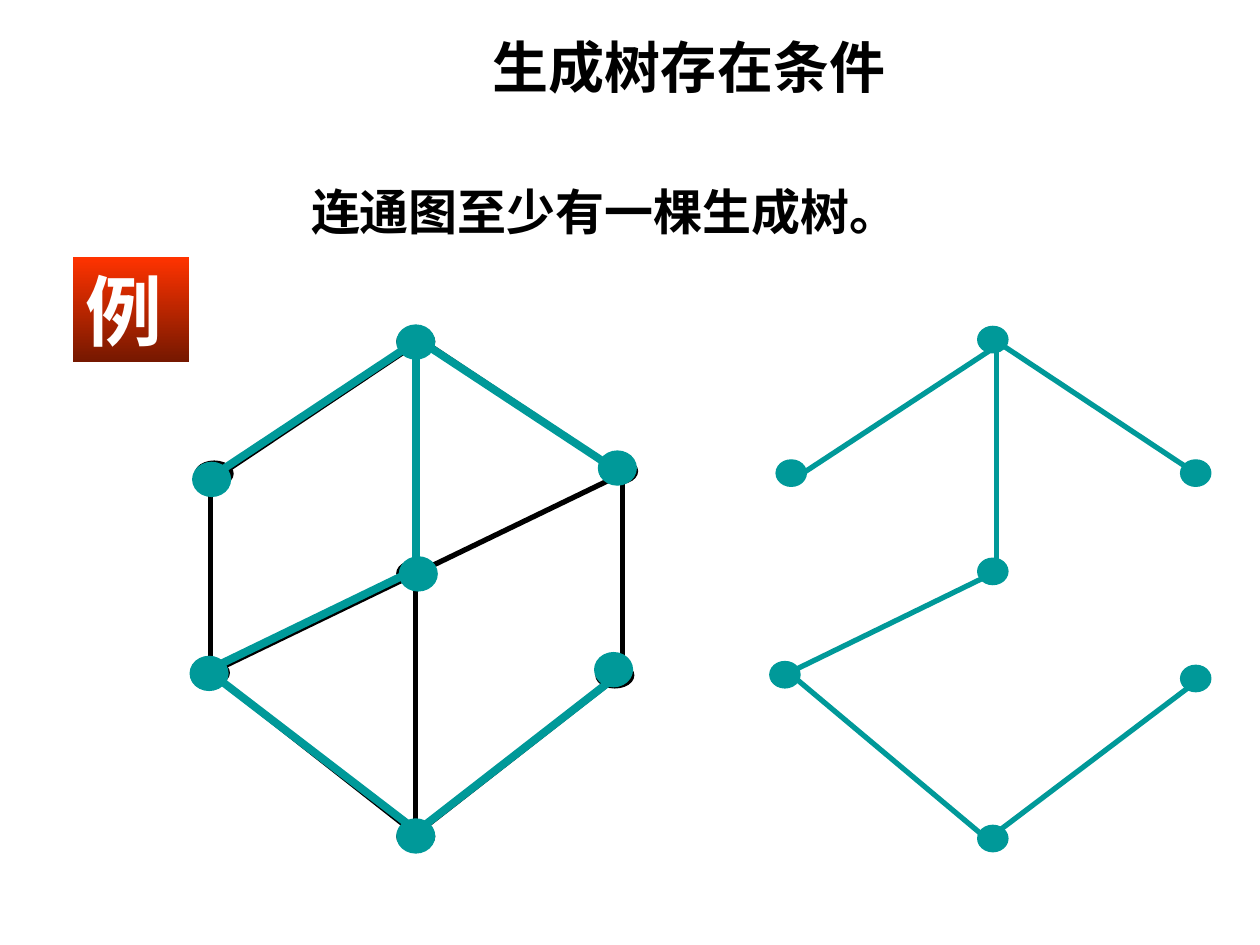
from pptx import Presentation
from pptx.dml.color import RGBColor
from pptx.enum.shapes import MSO_CONNECTOR, MSO_SHAPE
from pptx.enum.text import MSO_ANCHOR, PP_ALIGN
from pptx.oxml.ns import qn
from pptx.util import Pt
from lxml import etree

PX = 9144  # 100 px to the inch
LEFT, CENTER = PP_ALIGN.LEFT, PP_ALIGN.CENTER
TOP = MSO_ANCHOR.TOP
STRAIGHT = MSO_CONNECTOR.STRAIGHT
OVAL, RECTANGLE = MSO_SHAPE.OVAL, MSO_SHAPE.RECTANGLE

COLORS = {
    "black": "000000",
    "white": "FFFFFF",
    "teal": "009999",
    "badge_top": "FF3300",
    "badge_bottom": "761800",
}

# Nodes are (left, top); edges are (x1, y1, x2, y2)
GRAPH_EDGES = [
    (330, 277, 330, 672), (330, 273, 167, 382), (167, 376, 167, 534),
    (167, 534, 330, 662), (330, 267, 494, 376), (494, 376, 494, 534),
    (494, 534, 330, 662), (494, 376, 167, 534),
]
GRAPH_NODES = [(315, 445), (315, 261), (155, 366), (476, 364),
               (152, 524), (473, 526), (315, 654)]
MARKED_NODES = [(151, 521), (153, 367), (315, 258), (317, 442),
                (315, 650), (472, 518), (475, 358)]
MARKED_EDGES = [
    (327, 273, 167, 379), (328, 267, 489, 373), (334, 450, 173, 528),
    (175, 540, 342, 668), (328, 662, 494, 533), (330, 269, 330, 460),
]
TREE_NODES = [(611, 525), (616, 365), (776, 259), (776, 443),
              (776, 655), (937, 528), (937, 365)]
TREE_EDGES = [
    (792, 274, 632, 379), (791, 267, 791, 458), (788, 269, 948, 375),
    (784, 457, 624, 535), (625, 533, 786, 668), (788, 663, 956, 536),
]


def rgb(name):
    return RGBColor.from_string(COLORS[name])


def emu(*lengths):
    return [length * PX for length in lengths]


def write(box, text, font, size, color="black", align=LEFT):
    frame = box.text_frame
    frame.word_wrap = True
    frame.vertical_anchor = TOP
    para = frame.paragraphs[0]
    para.alignment = align
    span = para.add_run()
    span.text = text
    formats = {"name": font, "size": Pt(size), "bold": True}
    for key, value in formats.items():
        setattr(span.font, key, value)
    span.font.color.rgb = rgb(color)
    return para


def add_text(page, place, text, font, size, align=LEFT):
    return write(page.shapes.add_textbox(*emu(*place)), text, font, size, align=align)


def add_badge(page, place, text):
    badge = page.shapes.add_shape(RECTANGLE, *emu(*place))
    badge.shadow.inherit = False
    badge.line.fill.background()
    badge.fill.gradient()
    badge.fill.gradient_angle = 270
    for stop, position, name in zip(badge.fill.gradient_stops, (0, 1),
                                    ("badge_top", "badge_bottom")):
        stop.position = position
        stop.color.rgb = rgb(name)
    write(badge, text, "Times New Roman", 44, "white")


def add_node(shapes, left, top, size, color):
    node = shapes.add_shape(OVAL, *emu(left, top, *size))
    node.shadow.inherit = False
    node.fill.solid()
    node.fill.fore_color.rgb = rgb(color)
    node.line.color.rgb = rgb(color)
    node.line.width = Pt(0.75)


def add_edge(shapes, ends, color, width):
    edge = shapes.add_connector(STRAIGHT, *emu(*ends))
    edge.line.color.rgb = rgb(color)
    edge.line.width = Pt(width)
    etree.SubElement(edge._element.spPr, qn("a:effectLst"))


def add_graph(shapes, nodes, edges, node_size, color, width):
    for ends in edges:
        add_edge(shapes, ends, color, width)
    for left, top in nodes:
        add_node(shapes, left, top, node_size, color)


def main():
    deck = Presentation()
    deck.slide_width, deck.slide_height = emu(1000, 750)
    page = deck.slides.add_slide(deck.slide_layouts[6])

    add_text(page, (177, 21, 740, 63), "生成树存在条件", "Arial", 32, CENTER)
    statement = add_text(page, (237, 139, 499, 105), "连通图至少有一棵生成树。",
                         "Noto Sans CJK SC", 28)
    hanging = statement._p.get_or_add_pPr()
    hanging.set("marL", str(38 * PX))
    hanging.set("indent", str(-38 * PX))
    add_badge(page, (58, 204, 92, 83), "例")

    add_graph(page.shapes.add_group_shape().shapes, GRAPH_NODES, GRAPH_EDGES,
              (30, 20), "black", 3)
    add_graph(page.shapes, MARKED_NODES, MARKED_EDGES, (30, 27), "teal", 4.5)
    add_graph(page.shapes.add_group_shape().shapes, TREE_NODES, TREE_EDGES,
              (24, 21), "teal", 3)
    deck.save("out.pptx")


if __name__ == "__main__":
    main()
